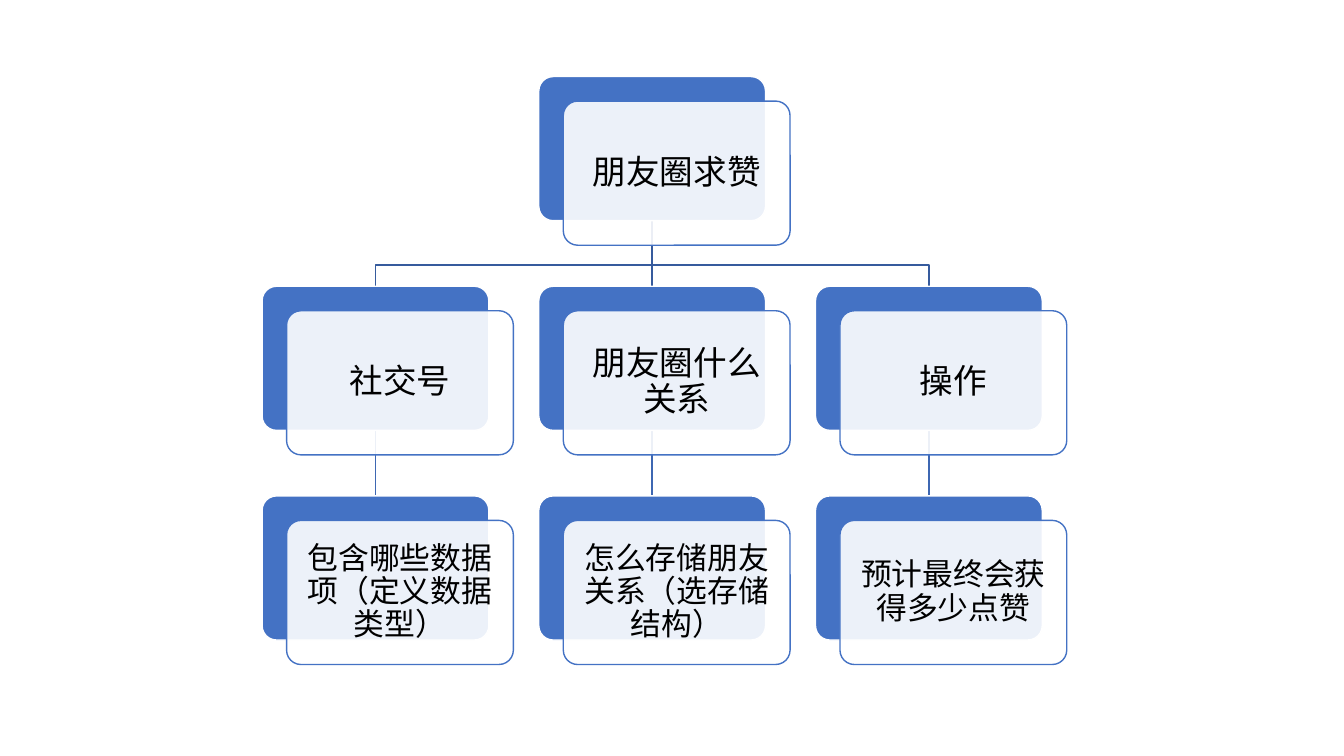
from dataclasses import dataclass

from lxml import etree
from pptx import Presentation
from pptx import util as u
from pptx.dml.color import RGBColor
from pptx.enum import shapes, text
from pptx.oxml import ns

BLUE = RGBColor(0x44, 0x72, 0xC4)
UPPER_LINE = RGBColor(0x36, 0x5B, 0x9D)
LOWER_LINE = RGBColor(0x3E, 0x67, 0xB2)
WHITE = RGBColor(0xFF, 0xFF, 0xFF)
BLACK = RGBColor(0x00, 0x00, 0x00)
FONT = "Noto Sans CJK SC"

# Grid of the chart, in points
LEFT, TOP = 187.2, 54.72
COLUMN_STEP, ROW_STEP = 197.64, 149.76
WIDTH, HEIGHT = 162, 102.96
CARD_OFFSET = 17.5
BEND = 31.7
INSET = 7.2


@dataclass(frozen=True)
class Node:
    label: str
    column: int
    row: int
    size: int = 24

    @property
    def left(self) -> float:
        return LEFT + self.column * COLUMN_STEP

    @property
    def top(self) -> float:
        return TOP + self.row * ROW_STEP

    @property
    def center(self) -> float:
        return self.left + WIDTH / 2

    @property
    def bottom(self) -> float:
        return self.top + HEIGHT


ROOT = Node("朋友圈求赞", 1, 0)
BRANCHES = [
    (Node("社交号", 0, 1), Node("包含哪些数据项（定义数据类型）", 0, 2, 22)),
    (Node("朋友圈什么关系", 1, 1), Node("怎么存储朋友关系（选存储结构）", 1, 2, 22)),
    (Node("操作", 2, 1), Node("预计最终会获得多少点赞", 2, 2, 22)),
]


def draw_link(slide, parent: Node, child: Node, color: RGBColor) -> None:
    """Join the bottom of the parent to the top of the child."""
    start, end = (parent.center, parent.bottom), (child.center, child.top)
    if parent.column == child.column:
        line = slide.shapes.add_connector(
            shapes.MSO_CONNECTOR.STRAIGHT, *(u.Pt(value) for value in start + end))
        etree.SubElement(line._element.spPr, ns.qn("a:effectLst"))
    else:
        bend = parent.bottom + BEND
        corners = [(parent.center, bend), (child.center, bend), end]
        builder = slide.shapes.build_freeform(*(u.Pt(value) for value in start))
        builder.add_line_segments(
            [(u.Pt(x), u.Pt(y)) for x, y in corners], close=False)
        line = builder.convert_to_shape()
        line.fill.background()
        line.shadow.inherit = False
    line.line.color.rgb = color
    line.line.width = u.Pt(1)


def draw_panel(slide, left: float, top: float, fill: RGBColor, outline: RGBColor):
    """Draw one rounded rectangle and return it."""
    shape = slide.shapes.add_shape(
        shapes.MSO_SHAPE.ROUNDED_RECTANGLE,
        u.Pt(left), u.Pt(top), u.Pt(WIDTH), u.Pt(HEIGHT))
    shape.adjustments[0] = 0.1
    shape.shadow.inherit = False
    shape.fill.solid()
    shape.fill.fore_color.rgb = fill
    shape.line.color.rgb = outline
    shape.line.width = u.Pt(1)
    return shape


def draw_node(slide, node: Node) -> None:
    """Draw the blue panel and the translucent card with the label."""
    draw_panel(slide, node.left, node.top, BLUE, WHITE)
    card = draw_panel(slide, node.left + CARD_OFFSET, node.top + CARD_OFFSET, WHITE, BLUE)
    color = card.fill._xPr.find(".//" + ns.qn("a:srgbClr"))
    etree.SubElement(color, ns.qn("a:alpha"), val="90000")

    frame = card.text_frame
    frame_format = {"word_wrap": True, "vertical_anchor": text.MSO_ANCHOR.MIDDLE}
    for side in ("left", "right", "top", "bottom"):
        frame_format[f"margin_{side}"] = u.Pt(INSET)
    for name, value in frame_format.items():
        setattr(frame, name, value)

    paragraph = frame.paragraphs[0]
    paragraph.alignment = text.PP_ALIGN.CENTER
    paragraph.line_spacing = 0.9
    run = paragraph.add_run()
    run.text = node.label
    for name, value in {"name": FONT, "size": u.Pt(node.size)}.items():
        setattr(run.font, name, value)
    run.font.color.rgb = BLACK
    etree.SubElement(run.font._element, ns.qn("a:ea"), typeface=FONT)


def main() -> None:
    presentation = Presentation()
    presentation.slide_width = u.Pt(960)
    presentation.slide_height = u.Pt(540)
    slide = presentation.slides.add_slide(presentation.slide_layouts[6])

    # Links lie behind the nodes
    for topic, question in BRANCHES:
        draw_link(slide, topic, question, LOWER_LINE)
        draw_link(slide, ROOT, topic, UPPER_LINE)

    # Nodes
    draw_node(slide, ROOT)
    for branch in BRANCHES:
        for node in branch:
            draw_node(slide, node)

    presentation.save("out.pptx")


if __name__ == "__main__":
    main()
